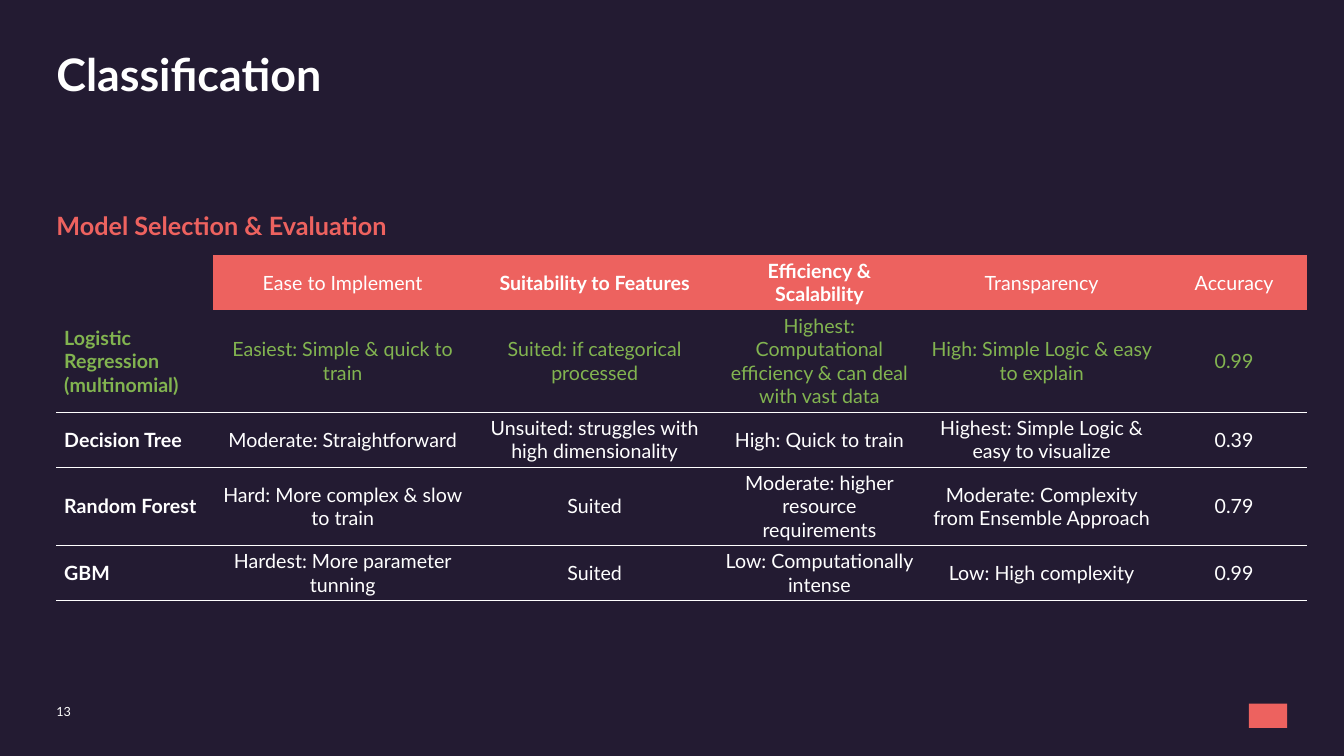
import pptx
import pptx.dml.color
import pptx.enum.shapes
import pptx.enum.text
import pptx.oxml
import pptx.util

Pt = pptx.util.Pt
Align = pptx.enum.text.PP_ALIGN
Anchor = pptx.enum.text.MSO_ANCHOR
NIGHT = pptx.dml.color.RGBColor(0x23, 0x1B, 0x32)
WHITE = pptx.dml.color.RGBColor(0xFF, 0xFF, 0xFF)
CORAL = pptx.dml.color.RGBColor(0xED, 0x62, 0x5F)
GREEN = pptx.dml.color.RGBColor(0x82, 0xB4, 0x50)

LEFT = 40.3
COLUMN_WIDTHS = [111.6, 185.8, 174.2, 146.9, 170.6, 104.4]
ROW_HEIGHTS = [39, 73, 39, 56, 39]
BOLD_HEADERS = ["Suitability to Features", "Efficiency & Scalability"]
ROWS = [
    ["", "Ease to Implement", *BOLD_HEADERS, "Transparency", "Accuracy"],
    ["Logistic Regression (multinomial)", "Easiest: Simple & quick to train",
     "Suited: if categorical processed",
     "Highest: Computational efficiency & can deal with vast data",
     "High: Simple Logic & easy to explain", "0.99"],
    ["Decision Tree", "Moderate: Straightforward",
     "Unsuited: struggles with high dimensionality", "High: Quick to train",
     "Highest: Simple Logic & easy to visualize", "0.39"],
    ["Random Forest", "Hard: More complex & slow to train", "Suited",
     "Moderate: higher resource requirements",
     "Moderate: Complexity from Ensemble Approach", "0.79"],
    ["GBM", "Hardest: More parameter tunning", "Suited",
     "Low: Computationally intense", "Low: High complexity", "0.99"],
]
NO_GRID_STYLE = "{2D5ABB26-0587-4C30-8999-92F81FD0307C}"
BOTTOM_LINE = (
    '<a:lnB xmlns:a="http://schemas.openxmlformats.org/drawingml/2006/main" w="6350">'
    f'<a:solidFill><a:srgbClr val="{WHITE}"/></a:solidFill></a:lnB>'
)


def write_text(frame, text, size, color, bold, align=Align.LEFT):
    para = frame.paragraphs[0]
    para.alignment = align
    span = para.add_run()
    span.text = text
    for name, value in {"name": "Lato", "size": Pt(size), "bold": bold}.items():
        setattr(span.font, name, value)
    span.font.color.rgb = color


def fit_box(box, left, top, width, height):
    places = {"left": left, "top": top, "width": width, "height": height}
    for name, value in places.items():
        setattr(box, name, Pt(value))
    frame_format = {
        "margin_left": 0, "margin_top": 0, "margin_right": 0, "margin_bottom": 0,
        "word_wrap": True, "vertical_anchor": Anchor.TOP,
        "auto_size": pptx.enum.text.MSO_AUTO_SIZE.NONE,
    }
    for name, value in frame_format.items():
        setattr(box.text_frame, name, value)


deck = pptx.Presentation()
deck.slide_width = Pt(960)
deck.slide_height = Pt(540)
page = deck.slides.add_slide(deck.slide_layouts[5])
page.background.fill.solid()
page.background.fill.fore_color.rgb = NIGHT

title = page.shapes.title
fit_box(title, LEFT, 37.4, 878.4, 85.7)
write_text(title.text_frame, "Classification", 32, WHITE, True)
title.text_frame.paragraphs[0].line_spacing = 0.9

labels = [
    ("Model Selection & Evaluation", 150.5, 878.4, 32.4, 18, CORAL, True),
    ("13", 502.6, 25.9, 15.8, 9, WHITE, False),
]
for text, top, width, height, size, color, bold in labels:
    box = page.shapes.add_textbox(0, 0, 0, 0)
    fit_box(box, LEFT, top, width, height)
    write_text(box.text_frame, text, size, color, bold)

table_frame = page.shapes.add_table(
    len(ROWS), len(COLUMN_WIDTHS), Pt(LEFT), Pt(182.2),
    Pt(sum(COLUMN_WIDTHS)), Pt(sum(ROW_HEIGHTS)),
)
table = table_frame.table
table.first_row = False
table.horz_banding = False
table_frame._element.find(".//{*}tableStyleId").text = NO_GRID_STYLE
for column, width in zip(table.columns, COLUMN_WIDTHS):
    column.width = Pt(width)
for row, height in zip(table.rows, ROW_HEIGHTS):
    row.height = Pt(height)

cell_format = {
    "vertical_anchor": Anchor.MIDDLE,
    "margin_left": Pt(5.6), "margin_right": Pt(5.6),
    "margin_top": Pt(2.8), "margin_bottom": Pt(2.8),
}
for row_index, texts in enumerate(ROWS):
    for column_index, text in enumerate(texts):
        cell = table.cell(row_index, column_index)
        for name, value in cell_format.items():
            setattr(cell, name, value)
        if row_index == 0 and text:
            cell.fill.solid()
            cell.fill.fore_color.rgb = CORAL
        else:
            cell.fill.background()
        if row_index > 0:
            cell._tc.get_or_add_tcPr().insert(0, pptx.oxml.parse_xml(BOTTOM_LINE))
        if text:
            color = GREEN if row_index == 1 else WHITE
            bold = column_index == 0 or text in BOLD_HEADERS
            align = Align.LEFT if column_index == 0 else Align.CENTER
            write_text(cell.text_frame, text, 14, color, bold, align)

emblem = page.shapes.add_shape(
    pptx.enum.shapes.MSO_SHAPE.RECTANGLE, Pt(892), Pt(502.6), Pt(27.4), Pt(17.3)
)
emblem.shadow.inherit = False
emblem.fill.solid()
emblem.fill.fore_color.rgb = CORAL
emblem.line.fill.background()

deck.save("out.pptx")
